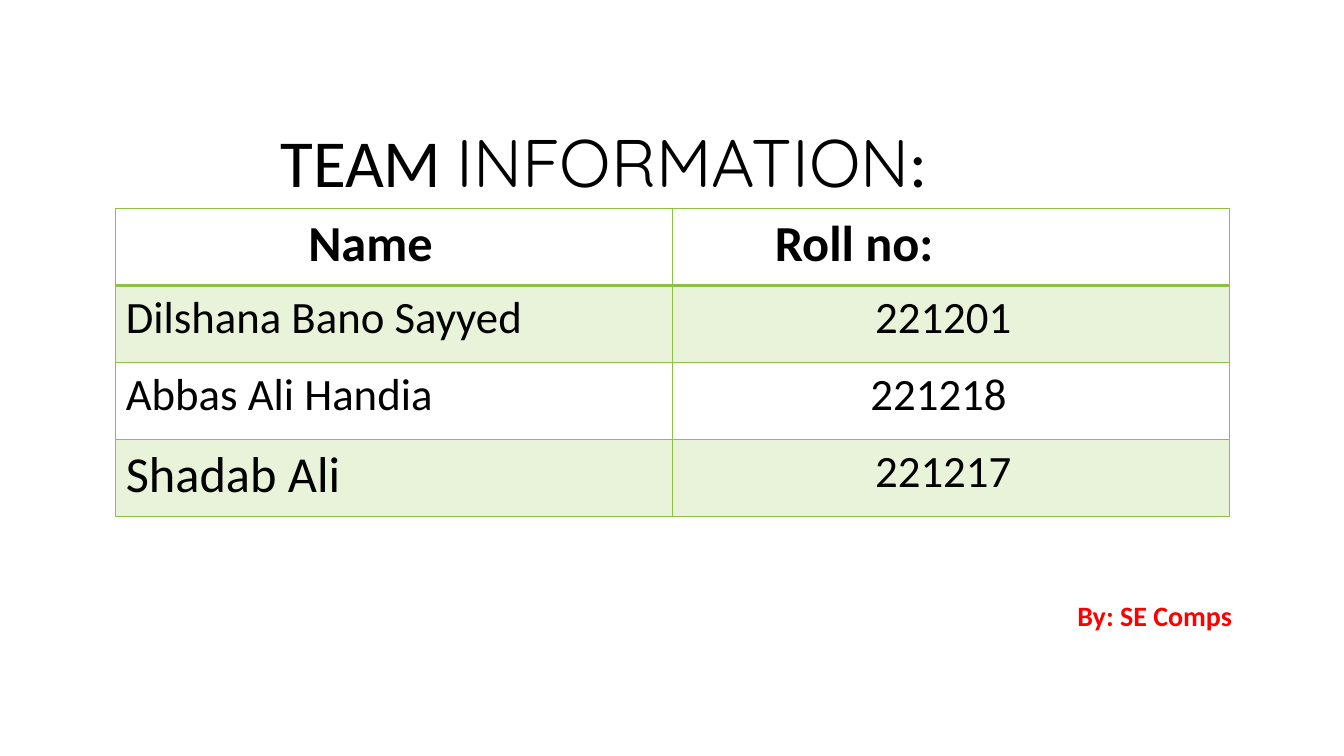
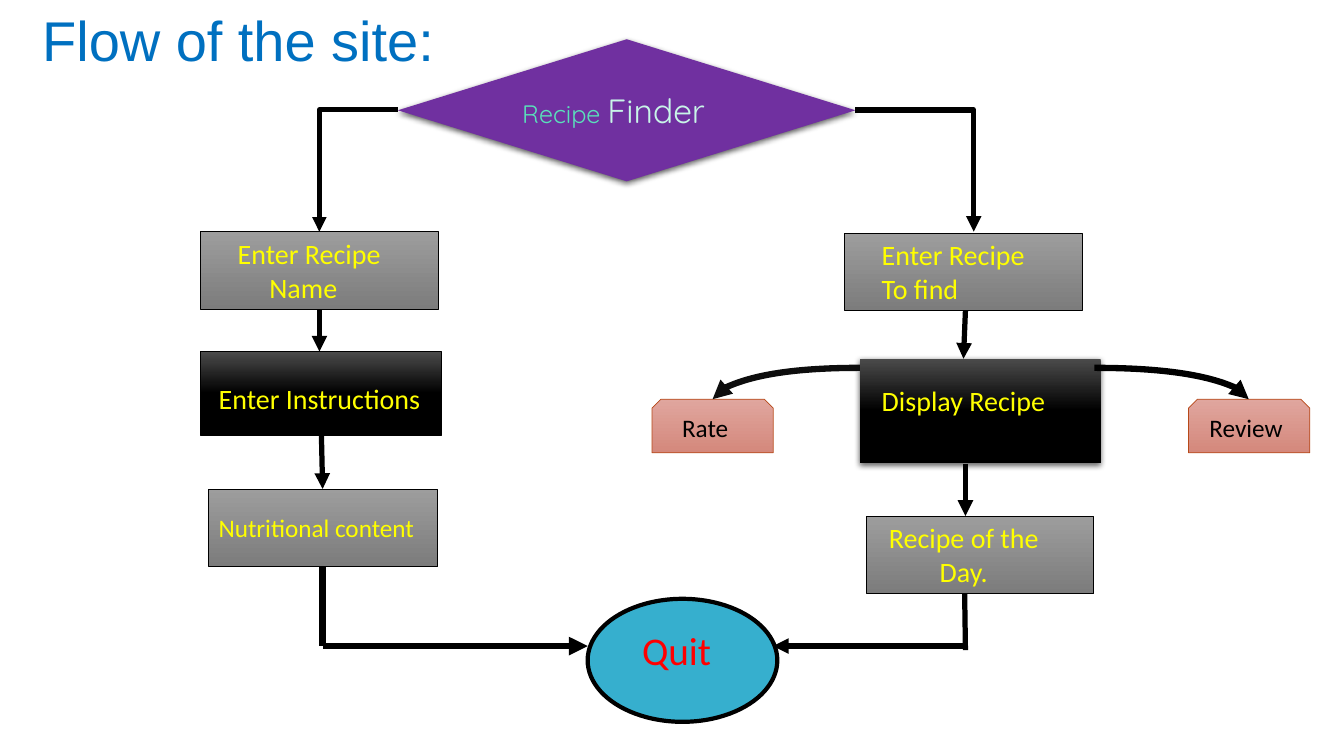
import pptx
import pptx.util
import pptx.dml.color
import pptx.enum.dml
import pptx.enum.shapes
import pptx.enum.text
import pptx.oxml
import pptx.oxml.ns
import lxml.etree

Cm = pptx.util.Cm
Pt = pptx.util.Pt
qn = pptx.oxml.ns.qn
SHAPE = pptx.enum.shapes.MSO_SHAPE
ANCHOR = pptx.enum.text.MSO_ANCHOR
AUTO_SIZE = pptx.enum.text.MSO_AUTO_SIZE

COLORS = {
    "black": "000000", "soot": "0D0D0D", "white": "FFFFFF",
    "red": "FF0000", "yellow": "FFFF00", "blue": "0070C0",
    "purple": "7030A0", "mint": "5AE0BB", "pale_mint": "C8F5E8",
    "teal": "36AFCE", "green": "8BC145", "pale_green": "E8F3DA",
    "light_gray": "9D9D9D", "dark_gray": "7C7C7C", "charcoal": "4B4B4B",
    "light_rose": "E0A69E", "dark_rose": "D4887C", "rust": "B74919",
}
GRAY = ("light_gray", "dark_gray", 1)
NIGHT = ("charcoal", "black", 0.5)
ROSE = ("light_rose", "dark_rose", 1)


def rgb(name):
    return pptx.dml.color.RGBColor.from_string(COLORS[name])


class Deck:
    font = "Calibri"

    def __init__(self):
        self.deck = pptx.Presentation()
        self.deck.slide_width = Cm(33.87)
        self.deck.slide_height = Cm(19.05)

    def add_page(self, title_at, spans):
        self.page = self.deck.slides.add_slide(self.deck.slide_layouts[5])
        self.page.background.fill.solid()
        self.page.background.fill.fore_color.rgb = rgb("white")
        title = self.page.shapes.title
        title.left, title.top, title.width, title.height = map(Cm, title_at)
        self.format_frame(title.text_frame, ANCHOR.TOP, AUTO_SIZE.NONE)
        self.add_spans(title.text_frame.paragraphs[0], spans)

    def format_frame(self, frame, anchor, auto_size):
        frame.word_wrap = True
        frame.vertical_anchor = anchor
        frame.auto_size = auto_size

    def add_spans(self, para, spans):
        para.alignment = pptx.enum.text.PP_ALIGN.LEFT
        for text, size, color, *font in spans:
            span = para.add_run()
            span.text = text
            span.font.size = Pt(size)
            span.font.color.rgb = rgb(color)
            span.font.name = font[0] if font else self.font

    def caption(self, at, lines, size, color, indent=0, bold=False):
        box = self.page.shapes.add_textbox(*map(Cm, at))
        frame = box.text_frame
        self.format_frame(frame, ANCHOR.TOP, AUTO_SIZE.SHAPE_TO_FIT_TEXT)
        for number, line in enumerate(lines):
            para = frame.add_paragraph() if number else frame.paragraphs[0]
            para.font.bold = bold
            self.add_spans(para, [(line, size, color)])
            for span in para.runs:
                span.font.bold = bold
        if indent:
            para._p.get_or_add_pPr().set("marL", str(Cm(indent)))

    def box(self, kind, at, fill, line=None, width=0.5, shadow=False, spans=()):
        box = self.page.shapes.add_shape(kind, *map(Cm, at))
        if isinstance(fill, tuple):
            self.fill_gradient(box.fill, *fill)
        else:
            box.fill.solid()
            box.fill.fore_color.rgb = rgb(fill)
        if line:
            box.line.color.rgb = rgb(line)
            box.line.width = Pt(width)
        else:
            box.line.fill.background()
        box.shadow.inherit = False
        if shadow:
            self.cast_shadow(box)
        if spans:
            self.format_frame(box.text_frame, ANCHOR.MIDDLE, AUTO_SIZE.NONE)
            self.add_spans(box.text_frame.paragraphs[0], spans)

    def fill_gradient(self, fill, top, bottom, end):
        fill.gradient()
        fill.gradient_angle = 270
        for stop, color, position in zip(fill.gradient_stops, (top, bottom), (0, end)):
            stop.color.rgb = rgb(color)
            stop.position = position

    def cast_shadow(self, box):
        effects = box._element.spPr.find(qn("a:effectLst"))
        shadow = lxml.etree.SubElement(
            effects, qn("a:outerShdw"), blurRad=str(Pt(4.5)),
            dist=str(Pt(1.5)), dir="5400000", rotWithShape="0")
        tone = lxml.etree.SubElement(shadow, qn("a:srgbClr"), val=COLORS["black"])
        lxml.etree.SubElement(tone, qn("a:alpha"), val="63000")

    def arrow(self, start, end, preset="line", width=3.75, color="black", head=True):
        arrow = self.page.shapes.add_connector(
            pptx.enum.shapes.MSO_CONNECTOR.STRAIGHT, *map(Cm, start + end))
        arrow.line.color.rgb = rgb(color)
        arrow.line.width = Pt(width)
        properties = arrow._element.spPr
        properties.find(qn("a:prstGeom")).set("prst", preset)
        if head:
            lxml.etree.SubElement(
                properties.get_or_add_ln(), qn("a:tailEnd"), type="triangle")
        lxml.etree.SubElement(properties, qn("a:effectLst"))

    def table(self, at, rows):
        frame = self.page.shapes.add_table(len(rows), len(rows[0]), *map(Cm, at))
        table = frame.table
        table.first_row = table.horz_banding = False
        for row_number, row in enumerate(rows):
            for column, (text, size, margin) in enumerate(row):
                cell = table.cell(row_number, column)
                cell.margin_left = Cm(margin)
                para = cell.text_frame.paragraphs[0]
                self.add_spans(para, [(text, size, "black")])
                para.runs[0].font.bold = row_number == 0
                self.border(cell, 2 if row_number == 0 else 1)
                if row_number % 2:
                    cell.fill.solid()
                    cell.fill.fore_color.rgb = rgb("pale_green")
                else:
                    cell.fill.background()

    def border(self, cell, bottom):
        properties = cell._tc.get_or_add_tcPr()
        for side, width in (("L", 1), ("R", 1), ("T", 1), ("B", bottom)):
            line = lxml.etree.SubElement(
                properties, qn("a:ln" + side), w=str(Pt(width)))
            fill = lxml.etree.SubElement(line, qn("a:solidFill"))
            lxml.etree.SubElement(fill, qn("a:srgbClr"), val=COLORS["green"])


show = Deck()

show.add_page((6.81, 2.9, 19.58, 2.31), [
    ("TEAM ", 48, "black"),
    ("INFORMATION", 48, "black", "Quicksand"),
    (":", 48, "black"),
])
show.table((2.92, 5.26, 28.07, 7.75), [
    [("Name", 36, 4.85), ("Roll no:", 36, 2.57)],
    [("Dilshana Bano Sayyed", 32, 0.25), ("221201", 32, 5.1)],
    [("Abbas Ali Handia", 32, 0.25), ("221218", 32, 4.98)],
    [("Shadab Ali", 36, 0.25), ("221217", 32, 5.1)],
])
show.caption((26.9, 14.96, 6.9, 1.02), ["By: SE Comps"], 20, "red", bold=True)

show.add_page((0.81, 0, 18.44, 1.96), [("Flow of the site:", 40, "blue", "Arial")])
show.box(SHAPE.FLOWCHART_DECISION, (10.03, 0.99, 11.53, 3.58), "purple", shadow=True, spans=[
    ("Recipe ", 18, "mint", "Quicksand"),
    ("Finder", 24, "pale_mint", "Quicksand"),
])
for at, fill, line, spans in (
    ((5.05, 5.84, 5.99, 1.96), GRAY, "black", ()),
    ((5.05, 8.86, 6.07, 2.11), NIGHT, "black", ()),
    ((5.26, 12.32, 5.77, 1.96), GRAY, "black", [("Nutritional content", 18, "yellow")]),
    ((21.29, 5.87, 5.99, 1.96), GRAY, "black", ()),
    ((21.67, 9.04, 6.07, 2.62), NIGHT, None, ()),
    ((21.84, 13, 5.72, 1.96), GRAY, "black", ()),
):
    show.box(SHAPE.RECTANGLE, at, fill, line, shadow=line is None, spans=spans)
show.box(SHAPE.OVAL, (14.81, 15.09, 4.78, 3.1), "teal", "black", 3)
for left in (16.43, 29.95):
    show.box(SHAPE.SNIP_2_SAME_RECTANGLE, (left, 10.06, 3.06, 1.35), ROSE, "rust")

for at, lines, indent in (
    ((5.74, 5.84, 5.79, 1.96), ["Enter Recipe", "Name"], 0.8),
    ((5.26, 9.5, 6.25, 1.14), ["Enter Instructions"], 0),
    ((21.97, 5.87, 4.72, 1.96), ["Enter Recipe", "To find"], 0),
    ((21.97, 9.53, 4.72, 1.12), ["Display Recipe"], 0),
    ((22.15, 13, 5.41, 1.96), ["Recipe of the", "Day."], 1.28),
):
    show.caption(at, lines, 20, "yellow", indent)
show.caption((15.93, 15.65, 3.23, 1.45), ["Quit"], 28, "red")
show.caption((16.94, 10.26, 2.34, 1.02), ["Rate"], 18, "black")
show.caption((30.23, 10.26, 2.49, 1.02), ["Review"], 18, "black")

show.arrow((10.03, 2.77), (8.05, 5.84), "bentConnector2", 3.5)
show.arrow((21.56, 2.77), (24.54, 5.84), "bentConnector2")
show.arrow((21.67, 9.27), (17.96, 10.06), "curvedConnector2", 4.5, "soot")
show.arrow((27.58, 9.27), (31.47, 10.06), "curvedConnector2", 4.5)
for start, end in (
    ((8.05, 7.8), (8.05, 8.86)),
    ((8.1, 10.97), (8.13, 12.32)),
    ((24.33, 7.82), (24.28, 9.04)),
    ((24.33, 11.68), (24.33, 13)),
    ((24.33, 16.28), (19.48, 16.28)),
):
    show.arrow(start, end)
show.arrow((24.31, 14.96), (24.33, 16.38), head=False)
show.arrow((8.13, 14.3), (8.13, 16.28), width=4.5, head=False)
show.arrow((8.13, 16.28), (14.81, 16.28), width=4.5)

show.deck.save("out.pptx")
